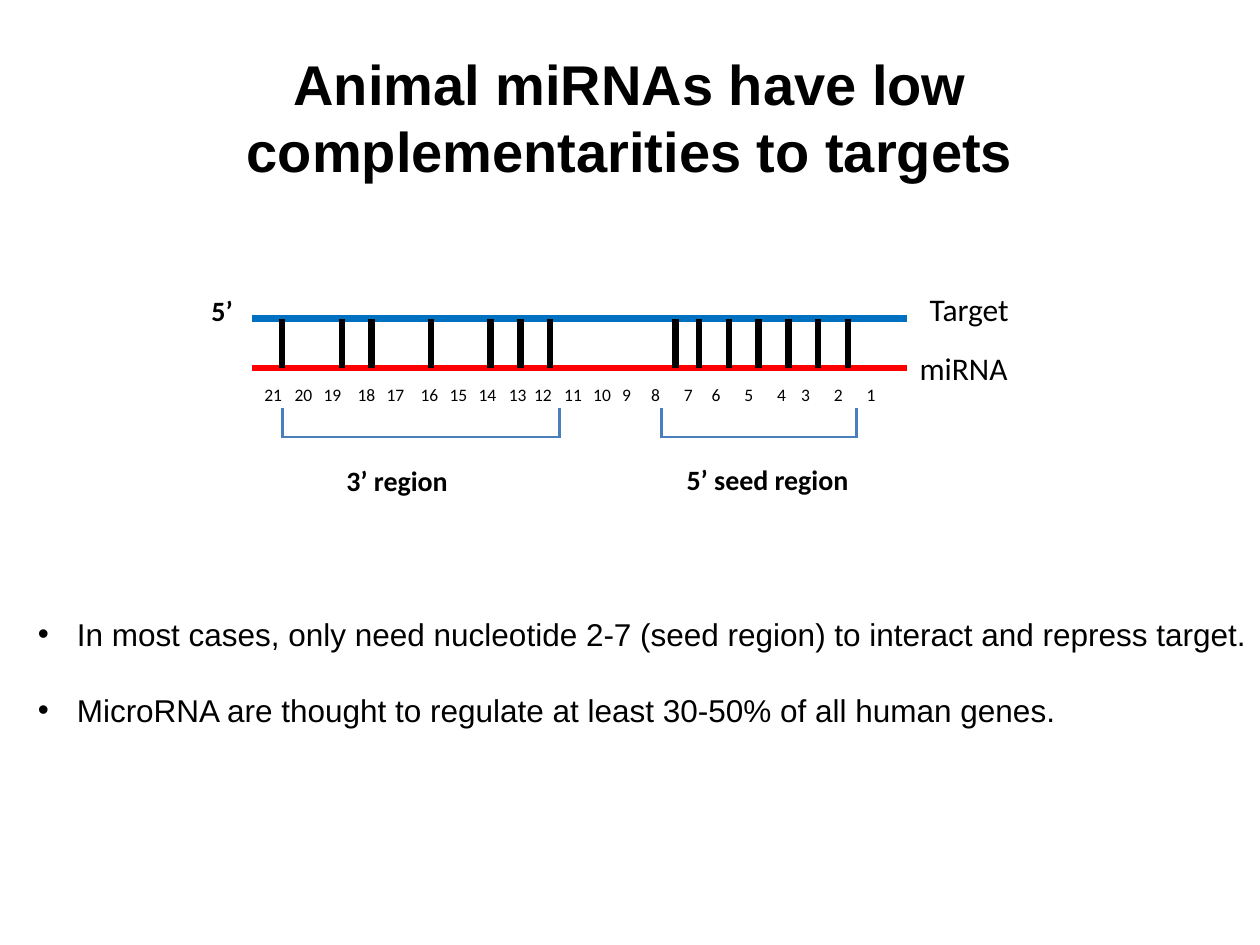
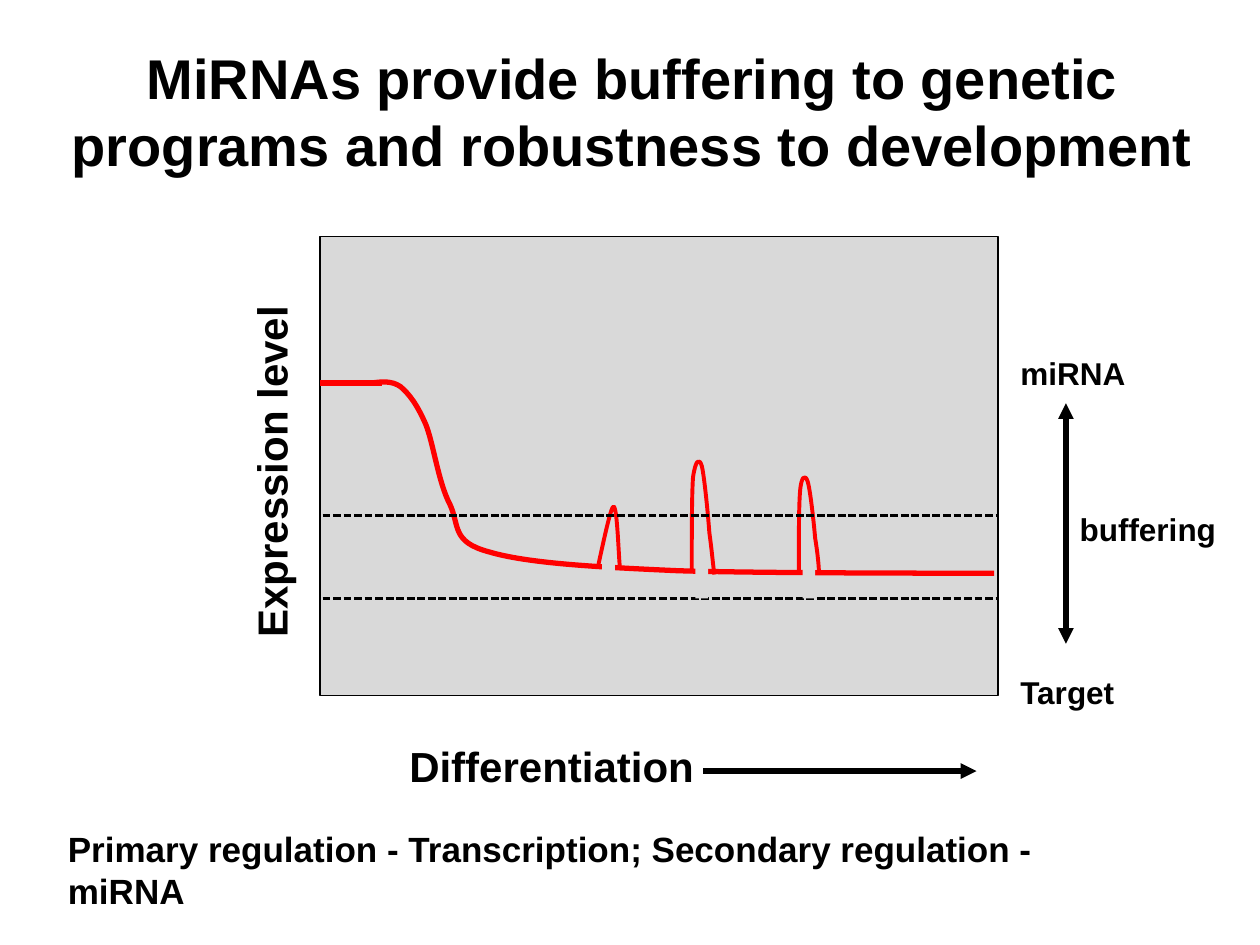
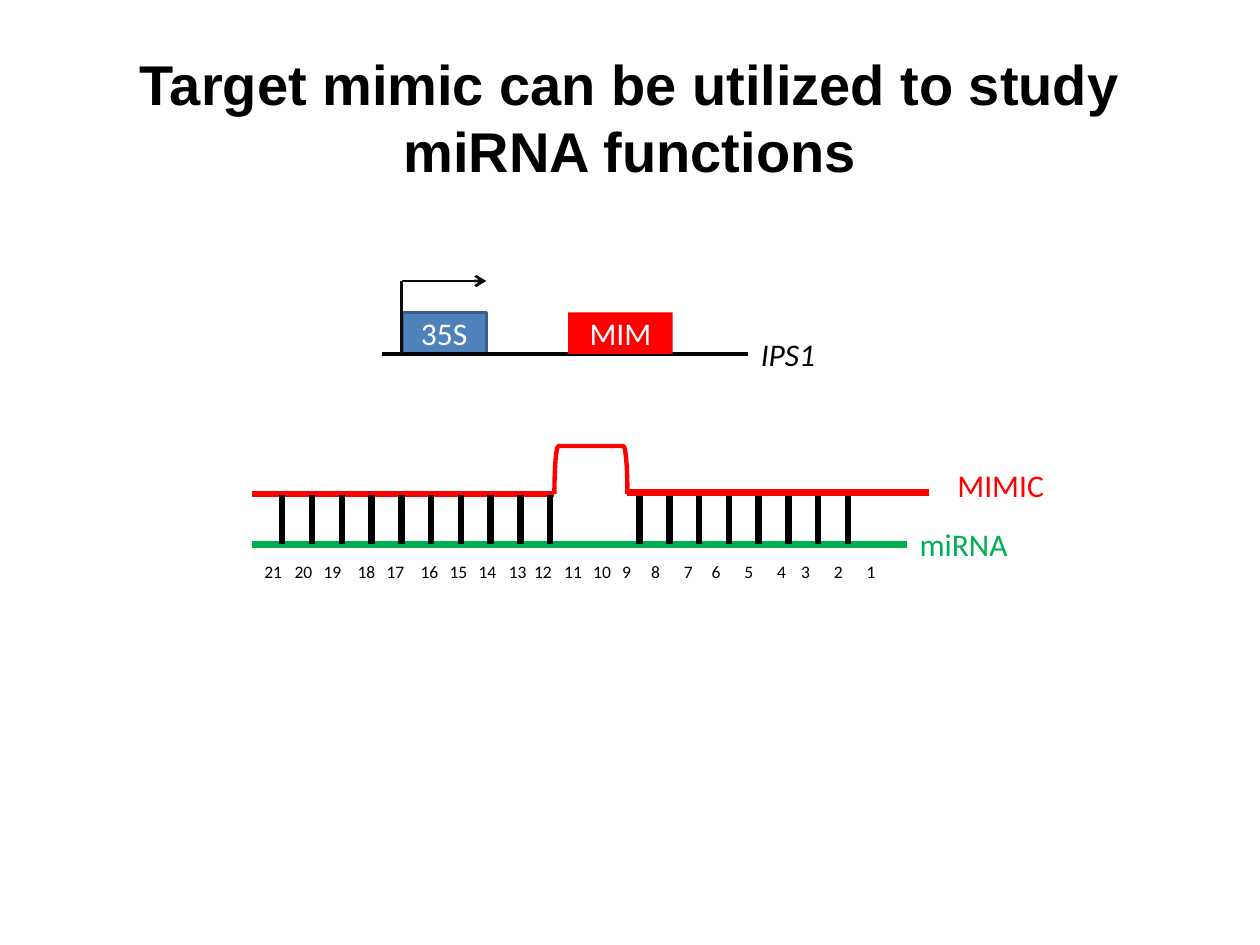
from lxml.etree import SubElement
from pptx import Presentation
from pptx.dml.color import RGBColor
from pptx.enum.dml import MSO_LINE_DASH_STYLE as DASH
from pptx.enum.shapes import MSO_CONNECTOR, MSO_SHAPE
from pptx.enum.text import MSO_ANCHOR, MSO_AUTO_SIZE as AUTO, PP_ALIGN
from pptx.oxml.ns import qn
from pptx.util import Inches, Pt

COLORS = {
    "black": "000000", "white": "FFFFFF", "red": "FF0000", "green": "00B050",
    "target": "0070C0", "brace": "4B7EBC", "promoter": "4F81BD",
    "promoter_edge": "3A5F8C", "plot": "D9D9D9", "ink": "0D0D0D",
}
TITLE_BOX = (0.5, 0.3, 9, 1.25)
BULLETS = [
    "In most cases, only need nucleotide 2-7 (seed region) to interact and repress target.",
    "MicroRNA are thought to regulate at least 30-50% of all human genes.",
]

STRAND_LEFT, STRAND_RIGHT = 2, 7.2
RUNG_LEFT, RUNG_STEP = 2.24, 4.49 / 19
ANIMAL_PAIRS = [0, 2, 3, 5, 7, 8, 9, 13.2, *range(14, 20)]
MIMIC_PAIRS = [*range(10), *range(12, 20)]
NUMBER_TABS = [0.24, 0.47, 0.74, 0.97, 1.24, 1.47, 1.7, 1.94, 2.14, 2.38,
               2.61, 2.84, 3.07, 3.33, 3.55, 3.81, 4.07, 4.26, 4.52, 4.78]
REGIONS = [("3’ region", 2.24, 4.44, 2.65, 3.63), ("5’ seed region", 5.25, 6.8, 5.35, 3.62)]

PLOT = (2.54, 1.88, 5.38, 3.64)
THRESHOLDS = [4.09, 4.75]
CURVES = [
    (3, (2.95, 3.04), [
        (3.03, 3.03, 3.11, 3.02, 3.18, 3.07), (3.25, 3.13, 3.31, 3.21, 3.38, 3.37),
        (3.44, 3.52, 3.48, 3.83, 3.57, 4), (3.65, 4.17, 3.58, 4.3, 3.88, 4.38),
        (4.18, 4.47, 4.71, 4.5, 5.38, 4.53), (6.05, 4.55, 7.47, 4.55, 7.89, 4.55)]),
    (2.25, (4.75, 4.48), [
        (4.8, 4.25, 4.85, 4.02, 4.87, 4.02), (4.9, 4.02, 4.91, 4.42, 4.92, 4.5)]),
    (2.25, (5.49, 4.55), [
        (5.49, 4.24, 5.49, 3.93, 5.5, 3.79), (5.52, 3.65, 5.55, 3.63, 5.57, 3.7),
        (5.59, 3.78, 5.62, 4.09, 5.63, 4.23), (5.65, 4.37, 5.66, 4.5, 5.67, 4.56)]),
    (2.25, (6.34, 4.54), [
        (6.34, 4.28, 6.34, 4.02, 6.35, 3.9), (6.36, 3.78, 6.39, 3.76, 6.41, 3.82),
        (6.43, 3.88, 6.46, 4.15, 6.47, 4.27), (6.49, 4.39, 6.5, 4.5, 6.5, 4.55)]),
]
PEAK_GAPS = [(4.78, 4.46), (5.52, 4.5), (6.37, 4.5)]
PLOT_LABELS = [
    ("Differentiation", (3.15, 5.83, 2.46, 0.5), 24),
    ("miRNA", (8, 2.76, 1.04, 0.4), 18),
    ("Target", (8, 5.29, 0.97, 0.4), 18),
    ("buffering", (8.47, 4, 1.28, 0.4), 18),
]


def rgb(name):
    return RGBColor.from_string(COLORS[name])


def style(p, size, font, color="black", bold=False, italic=False):
    for r in p.runs:
        f = r.font
        f.size, f.name, f.bold, f.italic = Pt(size), font, bold, italic
        f.color.rgb = rgb(color)


def place(sp, box):
    sp.left, sp.top, sp.width, sp.height = map(Inches, box)


def add_slide(prs, layout, title, box=TITLE_BOX):
    s = prs.slides.add_slide(prs.slide_layouts[layout])
    place(s.shapes.title, box)
    tf = s.shapes.title.text_frame
    tf.text = title
    tf.vertical_anchor = MSO_ANCHOR.MIDDLE
    p = tf.paragraphs[0]
    p.alignment = PP_ALIGN.CENTER
    style(p, 32, "Arial", bold=True)
    return s


def add_text(s, text, box, size, font="Calibri", color="black", bold=False,
             italic=False, wrap=True):
    tf = s.shapes.add_textbox(*map(Inches, box)).text_frame
    tf.word_wrap = wrap
    tf.auto_size = AUTO.SHAPE_TO_FIT_TEXT
    tf.text = text
    style(tf.paragraphs[0], size, font, color, bold, italic)
    return tf


def add_line(s, x1, y1, x2, y2, color="black", width=3.75, dash=None, head=None, tail=None):
    c = s.shapes.add_connector(MSO_CONNECTOR.STRAIGHT, *map(Inches, (x1, y1, x2, y2)))
    c.line.color.rgb = rgb(color)
    c.line.width = Pt(width)
    if dash:
        c.line.dash_style = dash
    ln = c.line._get_or_add_ln()
    for tag, kind in (("a:headEnd", head), ("a:tailEnd", tail)):
        if kind:
            SubElement(ln, qn(tag), type=kind)
    SubElement(c._element.spPr, qn("a:effectLst"))


def outline(sp, fill=None, line=None, width=1):
    sp.shadow.inherit = False
    if fill:
        sp.fill.solid()
        sp.fill.fore_color.rgb = rgb(fill)
    else:
        sp.fill.background()
    if line:
        sp.line.color.rgb = rgb(line)
        sp.line.width = Pt(width)
    else:
        sp.line.fill.background()


def add_box(s, box, fill, line=None, width=1, text=None):
    sp = s.shapes.add_shape(MSO_SHAPE.RECTANGLE, *map(Inches, box))
    outline(sp, fill, line, width)
    if text:
        tf = sp.text_frame
        tf.text = text
        tf.vertical_anchor = MSO_ANCHOR.MIDDLE
        tf.paragraphs[0].alignment = PP_ALIGN.CENTER
        style(tf.paragraphs[0], 18, "Calibri", "white")


def add_curve(s, width, start, segments):
    fb = s.shapes.build_freeform(*map(Inches, start))
    for seg in segments:
        points = zip(map(Inches, seg[::2]), map(Inches, seg[1::2]))
        fb.add_line_segments(list(points), close=False)
    sp = fb.convert_to_shape()
    lines = list(sp._element.iter(qn("a:lnTo")))
    outlined = lines[0].getparent()
    for i in range(0, len(lines), 3):
        bezier = SubElement(outlined, qn("a:cubicBezTo"))
        for ln in lines[i:i + 3]:
            bezier.append(ln[0])
            outlined.remove(ln)
    outline(sp, line="red", width=width)


def add_duplex(s, top, pairs, mirna_color, label_color):
    bottom = top + 0.39
    add_line(s, STRAND_LEFT, bottom, STRAND_RIGHT, bottom, mirna_color)
    for k in pairs:
        x = RUNG_LEFT + k * RUNG_STEP
        add_line(s, x, top, x, bottom)
    tf = add_text(s, "\t".join(str(n) for n in range(21, 0, -1)),
                  (STRAND_LEFT, top + 0.47, 5.2, 0.27), 10)
    tabs = SubElement(tf.paragraphs[0]._p.get_or_add_pPr(), qn("a:tabLst"))
    for pos in NUMBER_TABS:
        SubElement(tabs, qn("a:tab"), pos=str(Inches(pos)), algn="l")
    add_text(s, "miRNA", (STRAND_RIGHT, top + 0.19, 1.42, 0.4), 18, color=label_color)


def animal_slide(prs):
    s = add_slide(prs, 1, "Animal miRNAs have low complementarities to targets")
    body = s.placeholders[1]
    place(body, (0.2, 4.83, 9.89, 1.01))
    tf = body.text_frame
    tf.word_wrap = False
    tf.auto_size = AUTO.SHAPE_TO_FIT_TEXT
    tf.text = "\n".join(BULLETS)
    for i, p in enumerate(tf.paragraphs):
        p.alignment = PP_ALIGN.JUSTIFY
        p.space_before = Pt(22 * i)
        pPr = p._p.get_or_add_pPr()
        pPr.set("marL", str(Inches(0.31)))
        pPr.set("indent", str(Inches(-0.31)))
        SubElement(pPr, qn("a:buChar"), char="•")
        style(p, 18, "Arial")

    add_line(s, STRAND_LEFT, 2.53, STRAND_RIGHT, 2.53, "target")
    add_duplex(s, 2.53, ANIMAL_PAIRS, "red", "black")
    for name, left, right, label_left, label_top in REGIONS:
        add_line(s, left, 3.47, right, 3.47, "brace", 1.5)
        for x in (left, right):
            add_line(s, x, 3.48, x, 3.24, "brace", 1.5)
        add_text(s, name, (label_left, label_top, 1.65, 0.37), 16, bold=True)
    add_text(s, "Target", (7.28, 2.25, 1.42, 0.4), 18)
    add_text(s, "5’", (1.58, 2.28, 0.56, 0.37), 16, bold=True)


def buffering_slide(prs):
    s = add_slide(prs, 5, "MiRNAs provide buffering to genetic programs and robustness to development",
                  (0.42, 0.25, 9.2, 1.25))
    for text, box, size in PLOT_LABELS:
        add_text(s, text, box, size, "Arial", bold=True, wrap=False)
    axis = add_text(s, "Expression level", (1.9, 2.43, 0.6, 2.73), 24, "Arial",
                    bold=True, wrap=False)
    axis._txBody.bodyPr.set("vert", "vert270")
    add_text(s, "Primary regulation - Transcription; Secondary regulation - miRNA",
             (0.44, 6.52, 8.75, 0.75), 20, "Arial", bold=True)

    add_box(s, PLOT, "plot", "black", 0.75)
    add_line(s, 2.54, 3.04, 3.03, 3.04, "red", 3)
    for curve in CURVES:
        add_curve(s, *curve)
    add_line(s, 5.58, 6.12, 7.75, 6.12, width=3, tail="triangle")
    add_line(s, 8.46, 3.2, 8.46, 5.11, width=3, head="triangle", tail="triangle")
    for y in THRESHOLDS:
        add_line(s, 2.56, y, 7.91, y, width=1.5, dash=DASH.SQUARE_DOT)
    for x, y in PEAK_GAPS:
        add_box(s, (x, y, 0.1, 0.25), "plot")


def mimic_slide(prs):
    s = add_slide(prs, 5, "Target mimic can be utilized to study miRNA functions")
    add_box(s, (3.19, 2.48, 0.67, 0.33), "promoter", "promoter_edge", 2, "35S")
    add_line(s, 3.03, 2.81, 5.94, 2.81, width=2)
    add_box(s, (4.51, 2.48, 0.83, 0.33), "red", text="MIM")
    add_line(s, 3.19, 2.81, 3.19, 2.23, "ink", 1.75)
    add_line(s, 3.19, 2.23, 3.86, 2.23, "ink", 1.5, tail="arrow")
    add_text(s, "IPS1", (5.94, 2.61, 0.67, 0.4), 18, italic=True)

    add_line(s, STRAND_LEFT, 3.92, 4.4, 3.92, "red")
    add_duplex(s, 3.93, MIMIC_PAIRS, "green", "green")
    add_text(s, "MIMIC", (7.5, 3.65, 1.42, 0.4), 18, color="red")
    add_line(s, 4.98, 3.91, 7.37, 3.91, "red")
    bulge = s.shapes.add_shape(MSO_SHAPE.RIGHT_BRACKET, *map(Inches, (4.5, 3.44, 0.38, 0.58)))
    bulge.rotation = 270
    outline(bulge, line="red", width=2.5)


def main():
    prs = Presentation()
    prs.slide_width, prs.slide_height = Inches(10), Inches(7.5)
    animal_slide(prs)
    buffering_slide(prs)
    mimic_slide(prs)
    prs.save("out.pptx")


if __name__ == "__main__":
    main()
